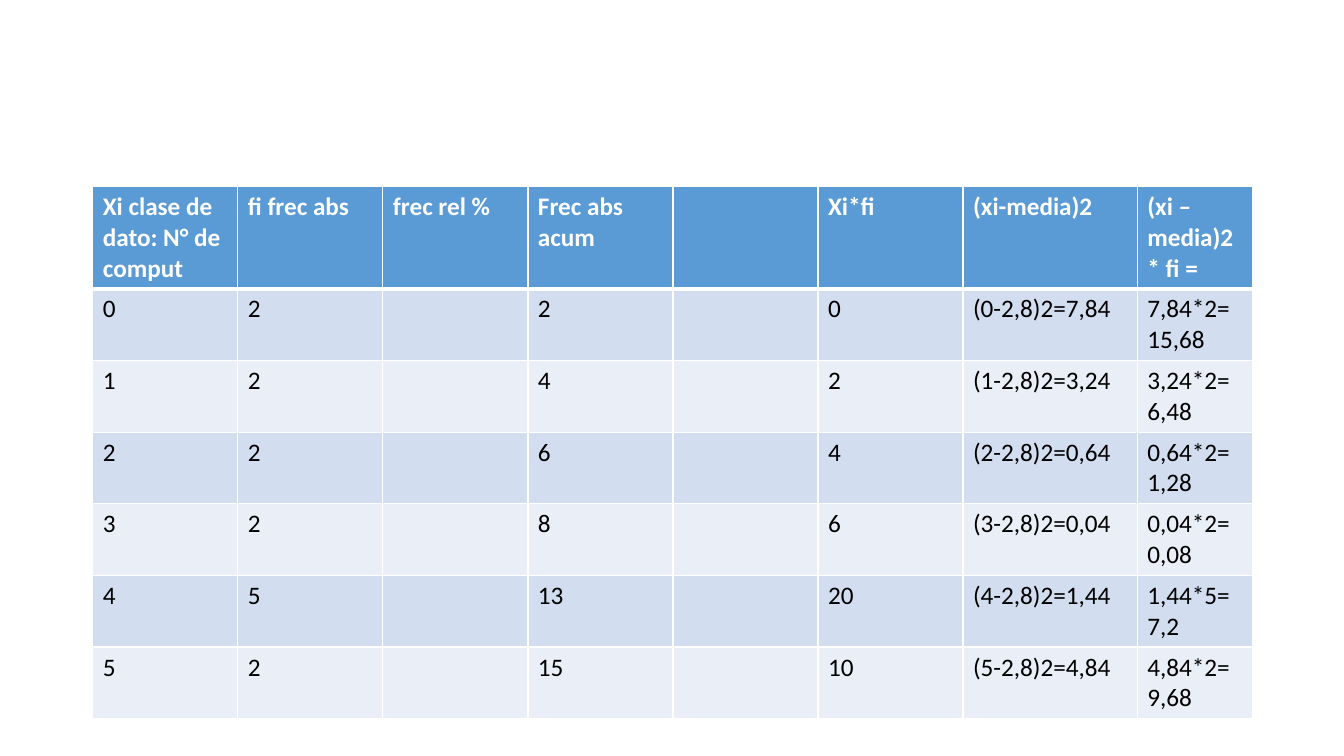
from lxml.etree import SubElement
from pptx import Presentation
from pptx.dml.color import RGBColor
from pptx.oxml.ns import qn
from pptx.util import Inches, Pt

HEADER_FILL = "5B9BD5"
BAND_FILLS = ["D2DEEF", "EAEFF7"]
WHITE, BLACK = "FFFFFF", "000000"

HEADINGS = ["Xi clase de dato: N° de comput", "fi frec abs", "frec rel %",
            "Frec abs acum", "", "Xi*fi", "(xi-media)2", "(xi –media)2* fi ="]
DATA = [
    ["0", "2", "", "2", "", "0", "(0-2,8)2=7,84", "7,84*2=15,68"],
    ["1", "2", "", "4", "", "2", "(1-2,8)2=3,24", "3,24*2=6,48"],
    ["2", "2", "", "6", "", "4", "(2-2,8)2=0,64", "0,64*2=1,28"],
    ["3", "2", "", "8", "", "6", "(3-2,8)2=0,04", "0,04*2=0,08"],
    ["4", "5", "", "13", "", "20", "(4-2,8)2=1,44", "1,44*5=7,2"],
    ["5", "2", "", "15", "", "10", "(5-2,8)2=4,84", "4,84*2=9,68"],
]
COLUMN_SHARES = [1.44] * 6 + [1.73, 1.14]
ROW_SHARES = [1.01] + [0.71] * len(DATA)


def color(value):
    return RGBColor.from_string(value)


def set_borders(cell, top, bottom):
    """Draw white cell borders, with widths in points."""
    properties = cell._tc.get_or_add_tcPr()
    for side, width in {"L": 1, "R": 1, "T": top, "B": bottom}.items():
        line = SubElement(properties, qn(f"a:ln{side}"), w=str(Pt(width)))
        fill = SubElement(line, qn("a:solidFill"))
        SubElement(fill, qn("a:srgbClr"), val=WHITE)


def fill_cell(cell, text, row):
    is_header = row == 0
    # Borders come before the fill in the cell properties
    set_borders(cell, top=3 if row == 1 else 1, bottom=3 if is_header else 1)
    cell.fill.solid()
    cell.fill.fore_color.rgb = color(
        HEADER_FILL if is_header else BAND_FILLS[(row - 1) % 2])
    cell.text = text
    font = cell.text_frame.paragraphs[0].font
    font.name, font.size, font.bold = "Calibri", Pt(18), is_header
    font.color.rgb = color(WHITE if is_header else BLACK)


def add_frequency_table(page, left, top, width, height):
    rows = [HEADINGS] + DATA
    table = page.shapes.add_table(
        len(rows), len(HEADINGS), Inches(left), Inches(top),
        Inches(width), Inches(height)).table

    # Share the box out among columns and rows
    for column, share in zip(table.columns, COLUMN_SHARES):
        column.width = Inches(width * share / sum(COLUMN_SHARES))
    for row, share in zip(table.rows, ROW_SHARES):
        row.height = Inches(height * share / sum(ROW_SHARES))

    for row, texts in enumerate(rows):
        for column, text in enumerate(texts):
            fill_cell(table.cell(row, column), text, row)


def main():
    deck = Presentation()
    deck.slide_width, deck.slide_height = Inches(13.33), Inches(7.5)
    page = deck.slides.add_slide(deck.slide_layouts[6])
    add_frequency_table(page, 0.92, 1.85, 11.5, 5.27)
    deck.save("out.pptx")


if __name__ == "__main__":
    main()
